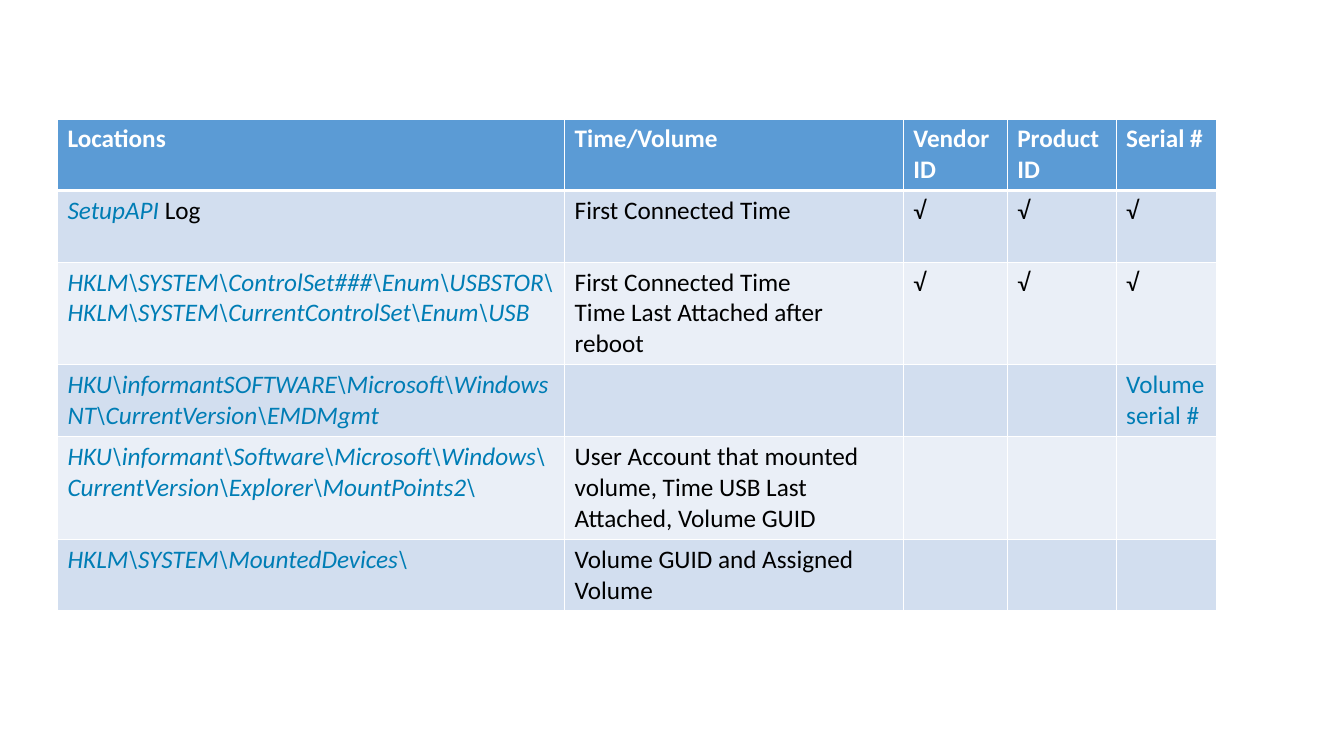
from lxml.etree import SubElement
from pptx import Presentation
from pptx.dml.color import RGBColor
from pptx.oxml.ns import qn
from pptx.util import Inches, Pt

COLORS = {
    "header": "5B9BD5",
    "odd": "D2DEEF",
    "even": "EAEFF7",
    "white": "FFFFFF",
    "black": "000000",
    "key": "007DB5",
}
COLUMN_WIDTHS = [5.03, 3.36, 1.03, 1.08, 1]
ROW_HEIGHTS = [0.71, 0.71, 1.02, 0.71, 1.02, 0.71]
HEADINGS = ["Locations", "Time/Volume", "Vendor ID", "Product ID", "Serial #"]

KEY = {"color": "key", "italic": True}
CHECKS = [[[("√", {})]]] * 3
EVIDENCE = [
    [[[("SetupAPI ", KEY), ("Log", {})]], [[("First Connected Time", {})]], *CHECKS],
    [
        [
            [("HKLM\\SYSTEM\\ControlSet###\\Enum\\USBSTOR\\", KEY)],
            [("HKLM\\SYSTEM\\CurrentControlSet\\Enum\\USB", KEY)],
        ],
        [[("First Connected Time", {})], [("Time Last Attached after reboot", {})]],
        *CHECKS,
    ],
    [
        [[("HKU\\informantSOFTWARE\\Microsoft\\WindowsNT\\CurrentVersion\\EMDMgmt", KEY)]],
        [], [], [],
        [[("Volume serial #", {"color": "key"})]],
    ],
    [
        [[("HKU\\informant\\Software\\Microsoft\\Windows\\CurrentVersion\\Explorer\\MountPoints2\\", KEY)]],
        [[("User Account that mounted volume, Time USB Last Attached, Volume GUID", {})]],
        [], [], [],
    ],
    [
        [[("HKLM\\SYSTEM\\MountedDevices\\", KEY)]],
        [[("Volume GUID and Assigned Volume", {})]],
        [], [], [],
    ],
]


def add_text(paragraph, text, color="black", size=18, font="Calibri", bold=False, italic=False):
    run = paragraph.add_run()
    run.text = text
    run.font.name = font
    run.font.size = Pt(size)
    run.font.bold = bold
    run.font.italic = italic
    run.font.color.rgb = RGBColor.from_string(COLORS[color])


class SlideBuilder:
    def __init__(self, slide):
        self.slide = slide
        self.border_color = COLORS["white"]

    def border(self, cell, top, bottom):
        properties = cell._tc.get_or_add_tcPr()
        for side, width in (("L", 1), ("R", 1), ("T", top), ("B", bottom)):
            line = SubElement(properties, qn(f"a:ln{side}"), w=str(Pt(width)))
            fill = SubElement(line, qn("a:solidFill"))
            SubElement(fill, qn("a:srgbClr"), val=self.border_color)

    def fill_cell(self, cell, paragraphs, fill, top=1, bottom=1):
        self.border(cell, top, bottom)
        cell.fill.solid()
        cell.fill.fore_color.rgb = RGBColor.from_string(COLORS[fill])
        frame = cell.text_frame
        for index, runs in enumerate(paragraphs):
            paragraph = frame.add_paragraph() if index else frame.paragraphs[0]
            for text, style in runs:
                add_text(paragraph, text, **style)

    def table(self, left, top, widths, heights, headings, records):
        table = self.slide.shapes.add_table(
            len(heights), len(widths), Inches(left), Inches(top),
            Inches(sum(widths)), Inches(sum(heights)),
        ).table
        for column, width in zip(table.columns, widths):
            column.width = Inches(width)
        for row, height in zip(table.rows, heights):
            row.height = Inches(height)
        for column, heading in enumerate(headings):
            title = [[(heading, {"color": "white", "bold": True})]]
            self.fill_cell(table.cell(0, column), title, "header", bottom=3)
        for row, record in enumerate(records, 1):
            for column, paragraphs in enumerate(record):
                self.fill_cell(
                    table.cell(row, column), paragraphs,
                    "odd" if row % 2 else "even", top=3 if row == 1 else 1,
                )


def main():
    presentation = Presentation()
    presentation.slide_width = Inches(13.33)
    presentation.slide_height = Inches(7.5)
    builder = SlideBuilder(presentation.slides.add_slide(presentation.slide_layouts[6]))
    builder.table(0.57, 1.18, COLUMN_WIDTHS, ROW_HEIGHTS, HEADINGS, EVIDENCE)
    presentation.save("out.pptx")


if __name__ == "__main__":
    main()
